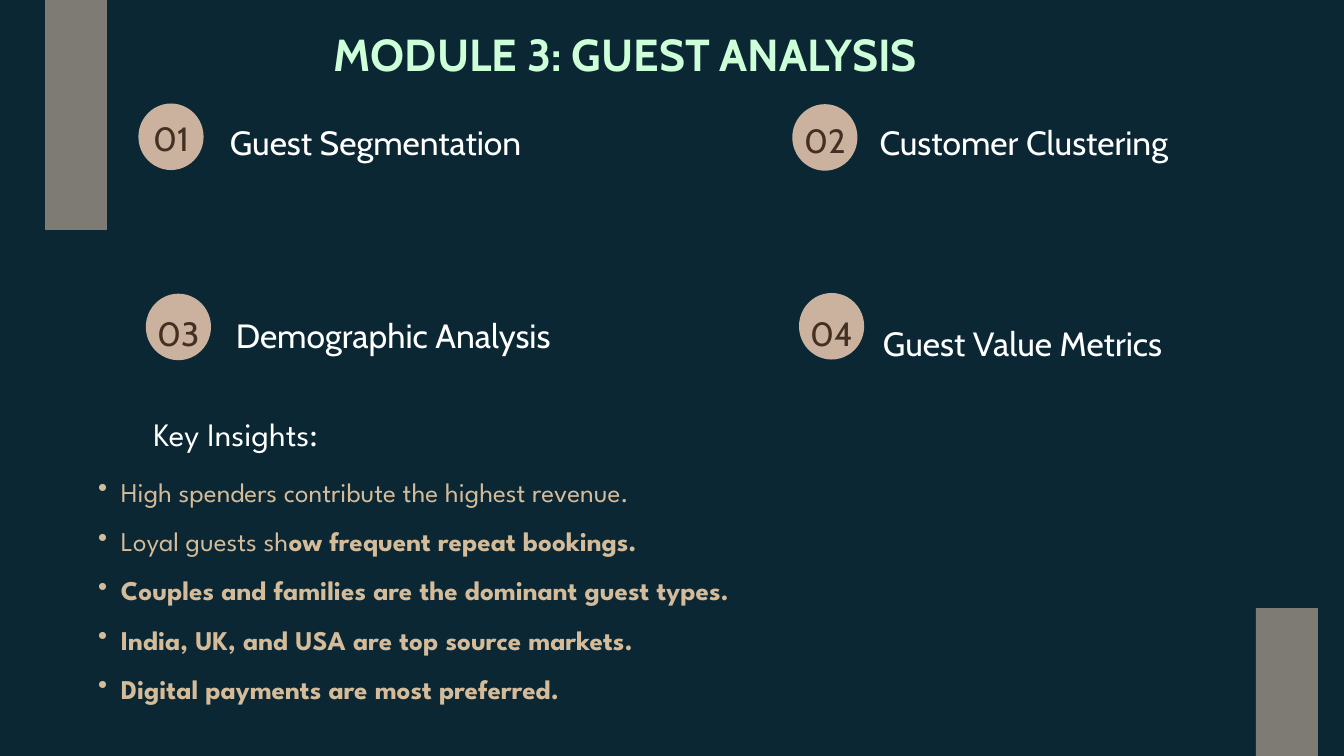
from dataclasses import dataclass

import pptx
import pptx.dml.color
import pptx.enum.shapes
import pptx.enum.text
import pptx.oxml.ns
import pptx.util
from lxml import etree
from pptx.dml.color import RGBColor
from pptx.util import Inches

NAVY = RGBColor(0x0B, 0x27, 0x34)
SAND = RGBColor(0xCB, 0xB2, 0x9F)
BROWN = RGBColor(0x44, 0x30, 0x23)
WHITE = RGBColor(0xFF, 0xFF, 0xFF)
TAN = RGBColor(0xD4, 0xBB, 0x99)
MINT = RGBColor(0xCD, 0xFF, 0xD8)
SKY = RGBColor(0x94, 0xB9, 0xFF)

HEADING_FONT = "Cabin"
BODY_FONT = "League Spartan"
ALIGN = pptx.enum.text.PP_ALIGN
SHAPES = pptx.enum.shapes.MSO_SHAPE


@dataclass
class Topic:
    number: str
    title: str
    badge: tuple[float, float]
    number_top: float
    label: tuple[float, float]


@dataclass
class Span:
    text: str
    bold: bool = False


TOPICS = [
    Topic("01", "Guest Segmentation", (2.06, 1.54), 1.75, (3.42, 1.72)),
    Topic("02", "Customer Clustering", (11.79, 1.55), 1.79, (13.09, 1.72)),
    Topic("03", "Demographic Analysis", (2.17, 4.37), 4.66, (3.51, 4.59)),
    Topic("04", "Guest Value Metrics", (11.89, 4.36), 4.66, (13.14, 4.7)),
]

INSIGHTS = [
    [Span("High spenders contribute the highest revenue.")],
    [Span("Loyal guests sh"), Span("ow frequent repeat bookings.", True)],
    [Span("Couples and families are the dominant guest types.", True)],
    [Span("India, UK, and USA are top source markets.", True)],
    [Span("Digital payments are most preferred.", True)],
]


def add_filled(page, kind, left: float, top: float, width: float, height: float,
               opacity: int = 100):
    """Draw a sand-coloured shape without outline or shadow."""
    shape = page.shapes.add_shape(
        kind, Inches(left), Inches(top), Inches(width), Inches(height))
    shape.shadow.inherit = False
    shape.line.fill.background()
    shape.fill.solid()
    shape.fill.fore_color.rgb = SAND
    if opacity < 100:
        color = shape.fill._xPr.find(".//" + pptx.oxml.ns.qn("a:srgbClr"))
        alpha = etree.SubElement(color, pptx.oxml.ns.qn("a:alpha"))
        alpha.set("val", str(opacity * 1000))
    return shape


def add_bullet(para) -> None:
    """Give a paragraph a hanging round bullet."""
    para.level = 1
    properties = para._p.get_or_add_pPr()
    properties.set("marL", str(Inches(0.68)))
    properties.set("indent", str(Inches(-0.34)))
    bullet = etree.SubElement(properties, pptx.oxml.ns.qn("a:buChar"))
    bullet.set("char", "•")


def add_text(page, text: str | list[list[Span]], left: float, top: float,
             width: float, height: float, *, size: float, leading: float,
             color: RGBColor, font: str = HEADING_FONT, bold: bool = False,
             align=ALIGN.LEFT, bullets: bool = False):
    """Add a text box without insets and return it."""
    box = page.shapes.add_textbox(
        Inches(left), Inches(top), Inches(width), Inches(height))
    frame = box.text_frame
    frame.word_wrap = True
    frame.auto_size = pptx.enum.text.MSO_AUTO_SIZE.SHAPE_TO_FIT_TEXT
    frame.margin_left = frame.margin_right = 0
    frame.margin_top = frame.margin_bottom = 0
    lines = [[Span(text, bold)]] if isinstance(text, str) else text
    for index, line in enumerate(lines):
        para = frame.add_paragraph() if index else frame.paragraphs[0]
        para.alignment = align
        para.line_spacing = pptx.util.Pt(leading)
        if bullets:
            add_bullet(para)
        for span in line:
            run = para.add_run()
            run.text = span.text
            run.font.name = font
            run.font.size = pptx.util.Pt(size)
            run.font.bold = span.bold
            run.font.color.rgb = color
    return box


def add_topic(page, topic: Topic) -> None:
    """Draw a numbered badge and its label."""
    left, top = topic.badge
    add_filled(page, SHAPES.OVAL, left, top, 0.97, 0.99)
    add_text(page, topic.number, left + 0.11, topic.number_top, 0.75, 0.59,
             size=36, leading=43.2, color=BROWN, align=ALIGN.CENTER)
    add_text(page, topic.title, *topic.label, 6.1, 0.7,
             size=36, leading=50.4, color=WHITE)


def main() -> None:
    deck = pptx.Presentation()
    deck.slide_width, deck.slide_height = Inches(20), Inches(11.25)
    page = deck.slides.add_slide(deck.slide_layouts[6])
    page.background.fill.solid()
    page.background.fill.fore_color.rgb = NAVY

    # Corner bars
    for left, top in [(0.67, 0), (18.69, 9.05)]:
        add_filled(page, SHAPES.RECTANGLE, left, top, 0.92, 3.42, opacity=60)

    # Title with gradient lettering
    title = add_text(page, "MODULE 3: GUEST ANALYSIS", 3.97, 0.39, 10.67, 0.78,
                     size=48, leading=57.6, color=MINT, bold=True,
                     align=ALIGN.CENTER)
    fill = title.text_frame.paragraphs[0].runs[0].font.fill
    fill.gradient()
    fill.gradient_angle = 0
    for stop, color in zip(fill.gradient_stops, (MINT, SKY)):
        stop.color.rgb = color

    # Numbered topics
    for topic in TOPICS:
        add_topic(page, topic)

    # Key insights
    add_text(page, "Key Insights:", 1.91, 5.85, 3.2, 0.79, size=35,
             leading=63.7, color=WHITE, font=BODY_FONT, align=ALIGN.CENTER)
    add_text(page, INSIGHTS, 1.12, 6.82, 12.54, 4.3, size=29, leading=52.8,
             color=TAN, font=BODY_FONT, bullets=True)

    deck.save("out.pptx")


if __name__ == "__main__":
    main()
